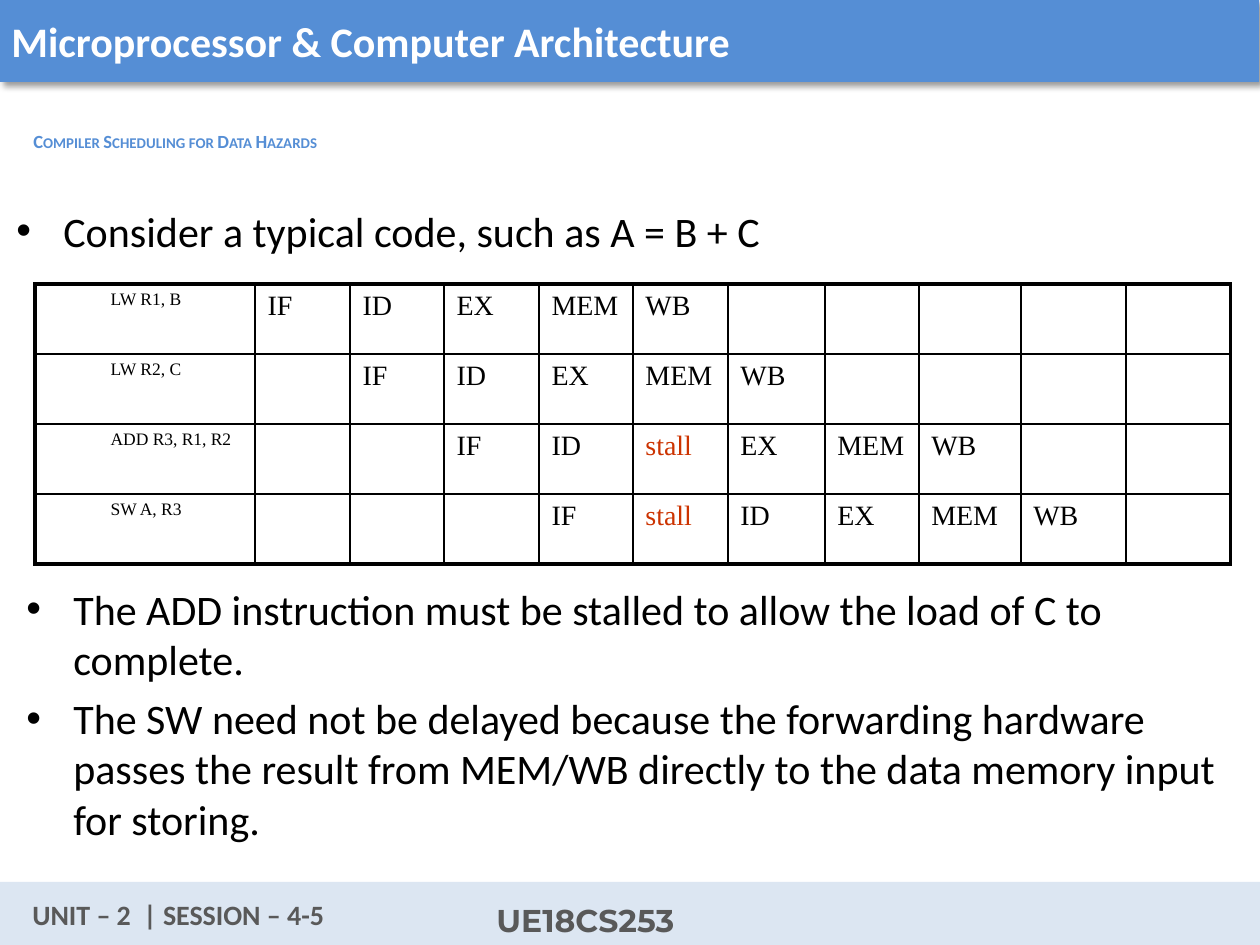
from lxml import etree
from pptx import Presentation
from pptx.dml.color import RGBColor
from pptx.enum.shapes import MSO_SHAPE
from pptx.enum.text import MSO_ANCHOR, MSO_AUTO_SIZE
from pptx.oxml import parse_xml
from pptx.oxml.ns import nsdecls, qn
from pptx.util import Emu, Pt

RECTANGLE = MSO_SHAPE.RECTANGLE
TOP, MIDDLE = MSO_ANCHOR.TOP, MSO_ANCHOR.MIDDLE
FIT_SHAPE = MSO_AUTO_SIZE.SHAPE_TO_FIT_TEXT

PX = 914400 / 126
COLORS = {"blue": "558ED5", "pale": "DCE6F2", "grey": "595959",
          "white": "FFFFFF", "black": "000000", "red": "CC3300"}
THIN, THICK = 0.96, 2.21


def style(para, size, color, font="Calibri", bold=False):
    for span in para.runs:
        span.font.size = Pt(size)
        span.font.name = font
        span.font.bold = bold
        span.font.color.rgb = RGBColor.from_string(COLORS[color])


def add_text(bounds, lines, size, color, font="Calibri", bold=False, anchor=TOP, wrap=True):
    box = page.shapes.add_textbox(*[Emu(round(n * PX)) for n in bounds])
    frame = box.text_frame
    frame.text = "\n".join(lines)
    frame.word_wrap = wrap
    frame.vertical_anchor = anchor
    if not wrap:
        frame.auto_size = FIT_SHAPE
    for para in frame.paragraphs:
        style(para, size, color, font, bold)
    return box


deck = Presentation()
deck.slide_width, deck.slide_height = Emu(round(1260 * PX)), Emu(round(945 * PX))
page = deck.slides.add_slide(deck.slide_layouts[6])

# Header and footer bands
bands = []
for left, top, height, color in [(-1, -1, 83, "blue"), (0, 882, 63, "pale")]:
    band = page.shapes.add_shape(
        RECTANGLE, *[Emu(round(n * PX)) for n in (left, top, 1260, height)])
    band.shadow.inherit = False
    band.fill.solid()
    band.fill.fore_color.rgb = RGBColor.from_string(COLORS[color])
    band.line.fill.background()
    bands.append(band)

header = bands[0]
header.text_frame.text = "Microprocessor & Computer Architecture"
header.text_frame.vertical_anchor = MIDDLE
header.text_frame.paragraphs[0].alignment = 1
style(header.text_frame.paragraphs[0], 24, "white", bold=True)
effects = header._element.spPr.find(qn("a:effectLst"))
effects.append(parse_xml(
    f'<a:outerShdw {nsdecls("a")} blurRad="{Pt(4)}" dist="{Pt(3)}" dir="2700000" '
    f'algn="tl" rotWithShape="0"><a:srgbClr val="{COLORS["black"]}">'
    '<a:alpha val="40000"/></a:srgbClr></a:outerShdw>'))

add_text((20, 891, 412, 45), ["UNIT – 2  | SESSION – 4-5"], 16, "grey", bold=True, wrap=False)
add_text((484, 895, 227, 50), ["UE18CS253"], 18, "grey", "Montserrat", True, wrap=False)

subtitle = add_text((21, 105, 1071, 73), ["Compiler Scheduling for Data Hazards"],
                    10.6, "blue", bold=True, anchor=MIDDLE)
subtitle.text_frame.paragraphs[0].runs[0].font._element.set("cap", "small")

# Bulleted text above and below the table
bullet_boxes = [
    ((4, 199, 1260, 83), ["Consider a typical code, such as A = B + C"]),
    ((14, 577, 1235, 294), [
        "The ADD instruction must be stalled to allow the load of C to complete.",
        "The SW need not be delayed because the forwarding hardware passes the result "
        "from MEM/WB directly to the data memory input for storing."]),
]
for bounds, lines in bullet_boxes:
    box = add_text(bounds, lines, 24, "black")
    for index, para in enumerate(box.text_frame.paragraphs):
        props = para._p.get_or_add_pPr()
        props.set("marL", str(round(47 * PX)))
        props.set("indent", str(round(-47 * PX)))
        etree.SubElement(props, qn("a:buFont"), typeface="Arial")
        etree.SubElement(props, qn("a:buChar"), char="•")
        if index:
            para.space_before = Pt(4.8)

# Pipeline table: each instruction enters one cycle after the previous one
pipeline = [
    ("LW R1, B", ["IF", "ID", "EX", "MEM", "WB"]),
    ("LW R2, C", ["IF", "ID", "EX", "MEM", "WB"]),
    ("ADD R3, R1, R2", ["IF", "ID", "stall", "EX", "MEM", "WB"]),
    ("SW A, R3", ["IF", "stall", "ID", "EX", "MEM", "WB"]),
]
widths = [220, 95, 94, 95, 94, 95, 97, 94, 102, 105, 105]
row_height = 70
last_row, last_column = len(pipeline) - 1, len(widths) - 1
table = page.shapes.add_table(
    len(pipeline), len(widths),
    *[Emu(round(n * PX)) for n in (35, 284, sum(widths), row_height * len(pipeline))]).table
table.first_row = table.horz_banding = False
for column, width in zip(table.columns, widths):
    column.width = Emu(round(width * PX))

for row, (instruction, stages) in enumerate(pipeline):
    table.rows[row].height = Emu(round(row_height * PX))
    texts = [instruction] + [""] * row + stages
    texts += [""] * (len(widths) - len(texts))
    for column, text in enumerate(texts):
        cell = table.cell(row, column)
        para = cell.text_frame.paragraphs[0]
        para.text = text
        if column == 0:
            para._p.get_or_add_pPr().set("marL", str(round(63 * PX)))
        style(para, 16 if column else 10, "red" if text == "stall" else "black",
              "Times New Roman")
        props = cell._tc.get_or_add_tcPr()
        outer_edges = {"L": column == 0, "R": column == last_column,
                       "T": row == 0, "B": row == last_row}
        for side, outer in outer_edges.items():
            props.append(parse_xml(
                f'<a:ln{side} {nsdecls("a")} w="{Pt(THICK if outer else THIN)}"><a:solidFill>'
                f'<a:srgbClr val="{COLORS["black"]}"/></a:solidFill></a:ln{side}>'))
        cell.fill.background()

deck.save("out.pptx")
